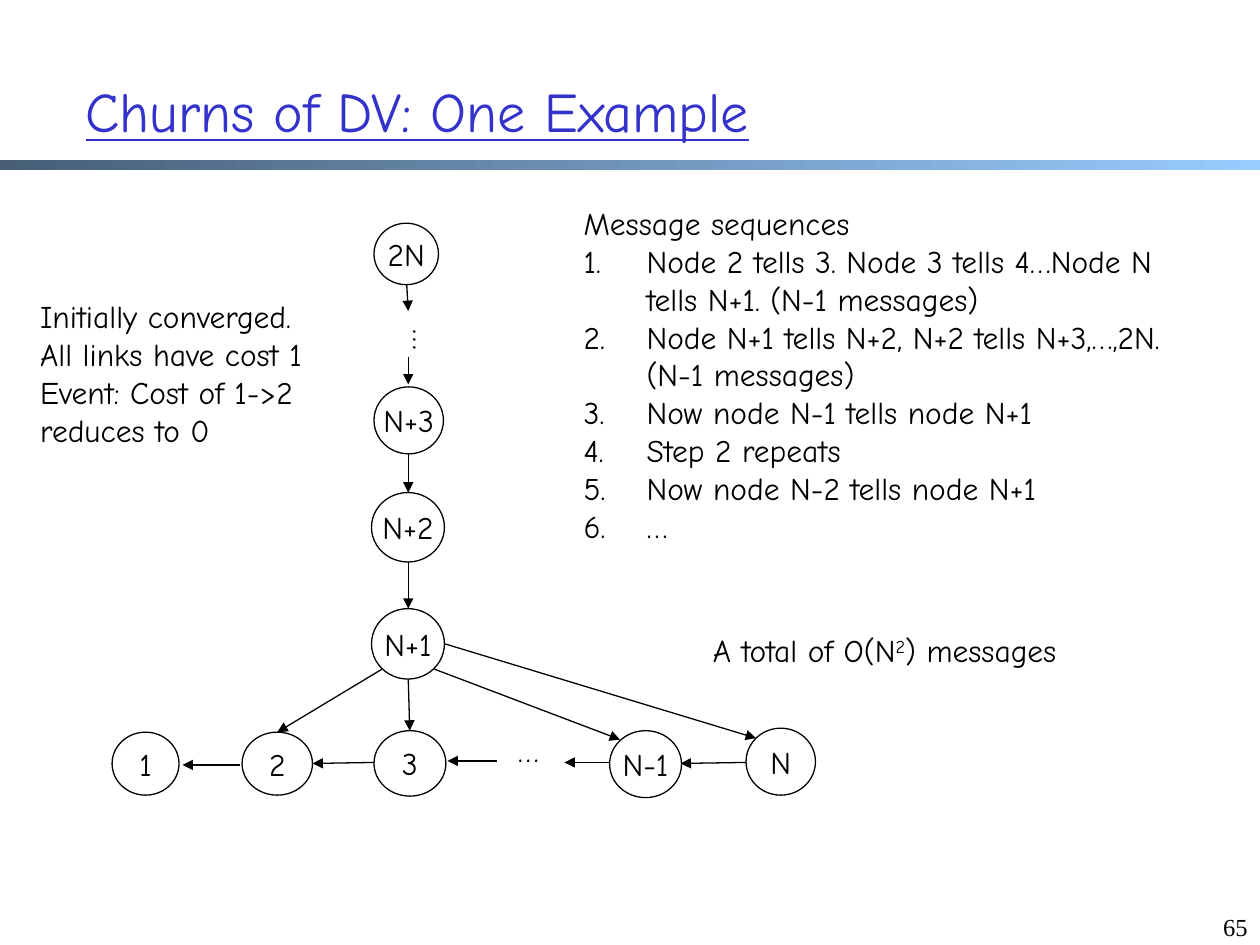
from dataclasses import dataclass

from lxml import etree
from pptx import Presentation
from pptx import util as u
from pptx.dml.color import RGBColor
from pptx.enum import shapes, text
from pptx.oxml import ns


@dataclass(frozen=True)
class Theme:
    ink: RGBColor = RGBColor(0x00, 0x00, 0x00)
    heading: RGBColor = RGBColor(0x33, 0x33, 0xCC)
    band_start: RGBColor = RGBColor(0x47, 0x5E, 0x76)
    band_end: RGBColor = RGBColor(0x99, 0xCC, 0xFF)
    font: str = "Comic Neue"
    number_font: str = "Times New Roman"
    heading_size: int = 32
    body_size: int = 18
    number_size: int = 14
    stroke: float = 0.75


class SlideBuilder:
    def __init__(self, slide, theme):
        self.slide = slide
        self.theme = theme

    def box(self, left, top, width, height):
        return [u.Cm(v) for v in (left, top, width, height)]

    def place(self, holder, *bounds):
        holder.left, holder.top, holder.width, holder.height = self.box(*bounds)

    def style(self, frame, size=None, font=None, color=None, align=text.PP_ALIGN.LEFT):
        for paragraph in frame.paragraphs:
            paragraph.alignment = align
            for run in paragraph.runs:
                run.font.size = u.Pt(size or self.theme.body_size)
                run.font.name = font or self.theme.font
                run.font.color.rgb = color or self.theme.ink

    def band(self, *bounds):
        band = self.slide.shapes.add_shape(shapes.MSO_SHAPE.RECTANGLE, *self.box(*bounds))
        band.shadow.inherit = False
        band.line.fill.background()
        band.fill.gradient()
        band.fill.gradient_angle = 0
        colors = (self.theme.band_start, self.theme.band_end)
        for stop, color in zip(band.fill.gradient_stops, colors):
            stop.color.rgb = color

    def title(self, wording, *bounds):
        heading = self.slide.shapes.title
        self.place(heading, *bounds)
        frame = heading.text_frame
        frame.text = wording
        frame.auto_size = text.MSO_AUTO_SIZE.NONE
        frame.vertical_anchor = text.MSO_ANCHOR.MIDDLE
        self.style(frame, self.theme.heading_size, color=self.theme.heading)
        frame.paragraphs[0].runs[0].font.underline = True

    def numbered_list(self, lead, steps, *bounds):
        body = self.slide.placeholders[1]
        self.place(body, *bounds)
        frame = body.text_frame
        frame.text = "\n".join([lead, *steps])
        frame.auto_size = text.MSO_AUTO_SIZE.NONE
        for index, paragraph in enumerate(frame.paragraphs):
            props = paragraph._p.get_or_add_pPr()
            props.set("marL", str(u.Cm(1.27)))
            props.set("indent", str(u.Cm(-1.27)))
            if index:
                etree.SubElement(props, ns.qn("a:buFont"), typeface=self.theme.font)
                etree.SubElement(props, ns.qn("a:buAutoNum"), type="arabicPeriod")
            else:
                etree.SubElement(props, ns.qn("a:buNone"))
            paragraph.space_before = u.Pt(0)
        self.style(frame)

    def label(self, wording, *bounds, wrap=False, **look):
        frame = self.slide.shapes.add_textbox(*self.box(*bounds)).text_frame
        frame.word_wrap = wrap
        frame.text = wording
        self.style(frame, **look)
        return frame

    def node(self, name, *bounds):
        node = self.slide.shapes.add_shape(shapes.MSO_SHAPE.OVAL, *self.box(*bounds))
        node.shadow.inherit = False
        node.fill.background()
        node.line.color.rgb = self.theme.ink
        node.line.width = u.Pt(self.theme.stroke)
        frame = node.text_frame
        frame.word_wrap = False
        frame.margin_left = frame.margin_right = frame.margin_top = frame.margin_bottom = 0
        frame.vertical_anchor = text.MSO_ANCHOR.MIDDLE
        frame.text = name
        self.style(frame, align=text.PP_ALIGN.CENTER)

    def arrow(self, *ends):
        arrow = self.slide.shapes.add_connector(
            shapes.MSO_CONNECTOR.STRAIGHT, *self.box(*ends))
        arrow.line.color.rgb = self.theme.ink
        arrow.line.width = u.Pt(self.theme.stroke)
        props = arrow._element.spPr
        etree.SubElement(props.find(ns.qn("a:ln")), ns.qn("a:tailEnd"), type="triangle")
        etree.SubElement(props, ns.qn("a:effectLst"))


NODES = [
    ("2N", 7.54, 4.5, 1.3, 1.24),
    ("N+3", 7.54, 7.8, 1.4, 1.35),
    ("N+2", 7.49, 9.93, 1.47, 1.4),
    ("N+1", 7.49, 12.27, 1.47, 1.42),
    ("1", 2.26, 14.76, 1.35, 1.27),
    ("2", 4.88, 14.76, 1.42, 1.27),
    ("3", 7.54, 14.73, 1.45, 1.32),
    ("N-1", 12.29, 14.73, 1.45, 1.35),
    ("N", 15.04, 14.68, 1.4, 1.35),
]

CHAIN_X = 8.23
CHAIN_LINKS = [
    (8.2, 5.74, CHAIN_X, 6.27),
    (CHAIN_X, 7.19, CHAIN_X, 7.75),
    (CHAIN_X, 9.14, CHAIN_X, 9.93),
    (CHAIN_X, 11.33, CHAIN_X, 12.27),
]
FAN_LINKS = [
    (7.7, 13.49, 5.59, 14.76),
    (CHAIN_X, 13.69, 8.26, 14.73),
    (8.76, 13.49, 12.5, 14.91),
    (8.97, 12.98, 15.24, 14.88),
]
ROW_LINKS = [
    (4.83, 15.42, 3.68, 15.42),
    (7.54, 15.37, 6.3, 15.39),
    (10.01, 15.34, 9.02, 15.34),
    (12.29, 15.37, 11.38, 15.37),
    (15.04, 15.37, 13.72, 15.39),
]

STEPS = [
    "Node 2 tells 3. Node 3 tells 4…Node N tells N+1. (N-1 messages)",
    "Node N+1 tells N+2, N+2 tells N+3,…,2N. (N-1 messages)",
    "Now node N-1 tells node N+1",
    "Step 2 repeats",
    "Now node N-2 tells node N+1",
    "…",
]

SETUP = "\n".join([
    "Initially converged.",
    "All links have cost 1",
    "Event: Cost of 1->2 reduces to 0",
])


def main():
    deck = Presentation()
    deck.slide_width, deck.slide_height = u.Cm(25.4), u.Cm(19.05)
    theme = Theme()
    builder = SlideBuilder(deck.slides.add_slide(deck.slide_layouts[1]), theme)

    builder.band(0, 3.23, 25.4, 0.2)
    builder.title("Churns of DV: One Example", 1.47, 0.64, 22.3, 3.18)
    for node in NODES:
        builder.node(*node)
    for link in CHAIN_LINKS + FAN_LINKS + ROW_LINKS:
        builder.arrow(*link)

    chain_gap = builder.label("…", 7.82, 6.4, 1.27, 0.69)
    chain_gap._txBody.bodyPr.set("vert", "eaVert")
    builder.label("…", 10.19, 14.61, 0.94, 1.02)

    builder.label(SETUP, 0.56, 5.87, 7.47, 3.33, wrap=True)
    builder.numbered_list("Message sequences", STEPS, 11.51, 3.99, 12.17, 7.95)

    total = builder.label("A total of O(N", 14.12, 12.6, 8.53, 1.02)
    for part in ("2", ") messages"):
        total.paragraphs[0].add_run().text = part
    builder.style(total)
    total.paragraphs[0].runs[1].font._element.set("baseline", "30000")

    builder.label("65", 23.5, 18.26, 1.9, 0.79, wrap=True, size=theme.number_size,
                  font=theme.number_font, align=text.PP_ALIGN.RIGHT)
    deck.save("out.pptx")


if __name__ == "__main__":
    main()
